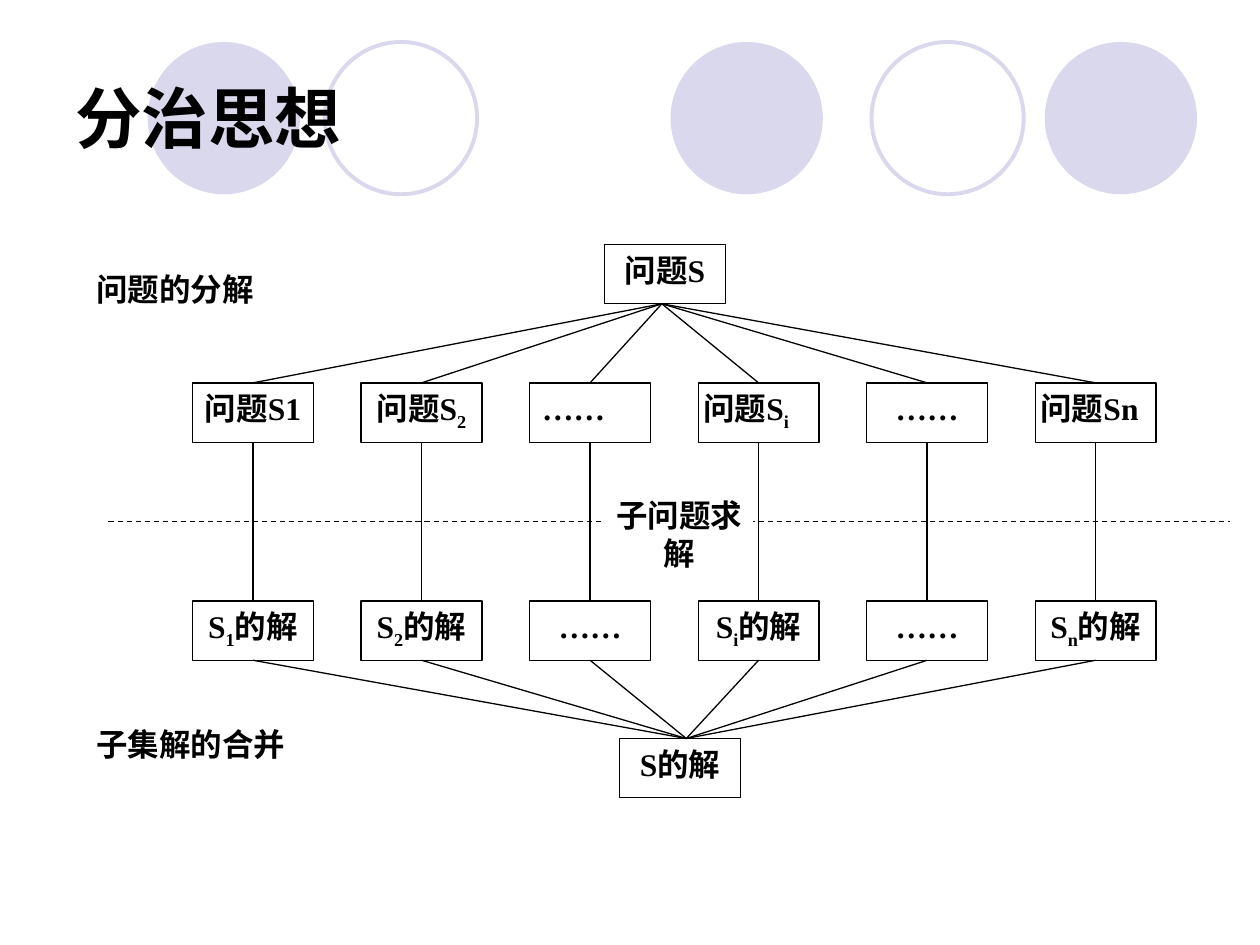
from lxml import etree
from pptx import Presentation
from pptx.dml.color import RGBColor
from pptx.enum import dml, shapes, text
from pptx.oxml import ns
from pptx.util import Pt

COLORS = {"ink": "000000", "paper": "FFFFFF", "lilac": "D9D8EC"}
BOX_W, BOX_H = 69, 33.9
FIRST_CENTER, PITCH = 144.6, 96.3
PROBLEM_Y, SUBPROBLEM_Y, SUBSOLUTION_Y, SOLUTION_Y = 139.7, 218.8, 343.4, 422
CENTER, JUSTIFY = text.PP_ALIGN.CENTER, text.PP_ALIGN.JUSTIFY
WIDE, NARROW = 7.2, 3


def rgb(name):
    return RGBColor.from_string(COLORS[name])


def write(frame, runs, align, inset, size=18, font="Times New Roman"):
    frame.word_wrap = True
    frame.margin_left = frame.margin_right = Pt(inset)
    frame.margin_top = frame.margin_bottom = Pt(3.6)
    paragraph = frame.paragraphs[0]
    paragraph.alignment = align
    for part in runs:
        run = paragraph.add_run()
        run.text = part.lstrip("_")
        run.font.name, run.font.size, run.font.bold = font, Pt(size), True
        run.font.color.rgb = rgb("ink")
        if part.startswith("_"):
            run.font._element.set("baseline", "-25000")


def add_figure(slide, preset, left, top, width, height, fill=None, line=None, weight=0.75):
    figure = slide.shapes.add_shape(preset, Pt(left), Pt(top), Pt(width), Pt(height))
    figure.shadow.inherit = False
    if fill:
        figure.fill.solid()
        figure.fill.fore_color.rgb = rgb(fill)
    else:
        figure.fill.background()
    if line:
        figure.line.color.rgb = rgb(line)
        figure.line.width = Pt(weight)
    else:
        figure.line.fill.background()
    return figure


def add_circle(slide, left, filled):
    style = {"fill": "lilac"} if filled else {"line": "lilac", "weight": 2.25}
    add_figure(slide, shapes.MSO_SHAPE.OVAL, left, 24, 87, 87, **style)


def add_title(slide, title):
    heading = slide.shapes.add_textbox(Pt(36), Pt(21.6), Pt(410.4), Pt(90))
    heading.text_frame.vertical_anchor = text.MSO_ANCHOR.MIDDLE
    write(heading.text_frame, [title], text.PP_ALIGN.LEFT, WIDE, 38, "Arial")


def add_box(slide, center, top, runs, align=CENTER, inset=NARROW):
    box = add_figure(slide, shapes.MSO_SHAPE.FLOWCHART_PROCESS, center - BOX_W / 2, top,
                     BOX_W, BOX_H, "paper", "ink")
    box.text_frame.vertical_anchor = text.MSO_ANCHOR.TOP
    write(box.text_frame, runs, align, inset)


def add_label(slide, left, top, width, label, align=JUSTIFY, inset=WIDE):
    plate = add_figure(slide, shapes.MSO_SHAPE.RECTANGLE, left, top, width, BOX_H, "paper")
    plate.text_frame.vertical_anchor = text.MSO_ANCHOR.TOP
    write(plate.text_frame, [label], align, inset)


def add_line(slide, start, end, dashed=False):
    line = slide.shapes.add_connector(shapes.MSO_CONNECTOR.STRAIGHT,
                                      *map(Pt, start), *map(Pt, end))
    line.line.color.rgb = rgb("ink")
    line.line.width = Pt(0.75)
    if dashed:
        line.line.dash_style = dml.MSO_LINE.DASH
    etree.SubElement(line._element.spPr, ns.qn("a:effectLst"))


def main():
    deck = Presentation()
    deck.slide_width, deck.slide_height = Pt(720), Pt(540)
    slide = deck.slides.add_slide(deck.slide_layouts[6])

    for left, filled in [(383.2, True), (597, True), (84.4, True), (498, False), (185.6, False)]:
        add_circle(slide, left, filled)
    add_title(slide, "分治思想")

    add_box(slide, 380, PROBLEM_Y, ["问题S"], inset=WIDE)
    add_box(slide, 388.6, SOLUTION_Y, ["S的解"])

    subproblems = [
        (["问题S1"], CENTER, NARROW),
        (["问题S", "_2"], CENTER, NARROW),
        (["……"], JUSTIFY, WIDE),
        (["问题S", "_i"], JUSTIFY, NARROW),
        (["……"], CENTER, WIDE),
        (["问题Sn"], JUSTIFY, NARROW),
    ]
    subscripts = ["1", "2", None, "i", None, "n"]
    centers = [FIRST_CENTER + PITCH * column for column in range(len(subproblems))]
    for center, (runs, align, inset), subscript in zip(centers, subproblems, subscripts):
        add_box(slide, center, SUBPROBLEM_Y, runs, align, inset)
        solution = ["S", "_" + subscript, "的解"] if subscript else ["……"]
        add_box(slide, center, SUBSOLUTION_Y, solution, inset=NARROW if subscript else WIDE)

    add_line(slide, (62, 298), (703, 298), dashed=True)
    for center in centers:
        add_line(slide, (378.2, PROBLEM_Y + BOX_H), (center, SUBPROBLEM_Y))
        add_line(slide, (center, SUBPROBLEM_Y + BOX_H), (center, SUBSOLUTION_Y))
        add_line(slide, (center, SUBSOLUTION_Y + BOX_H), (392.2, SOLUTION_Y))

    add_label(slide, 48, 151, 110, "问题的分解")
    add_label(slide, 48, 411, 124, "子集解的合并")
    add_label(slide, 345.8, 280, 84.4, "子问题求解", CENTER, 0)
    deck.save("out.pptx")


if __name__ == "__main__":
    main()
